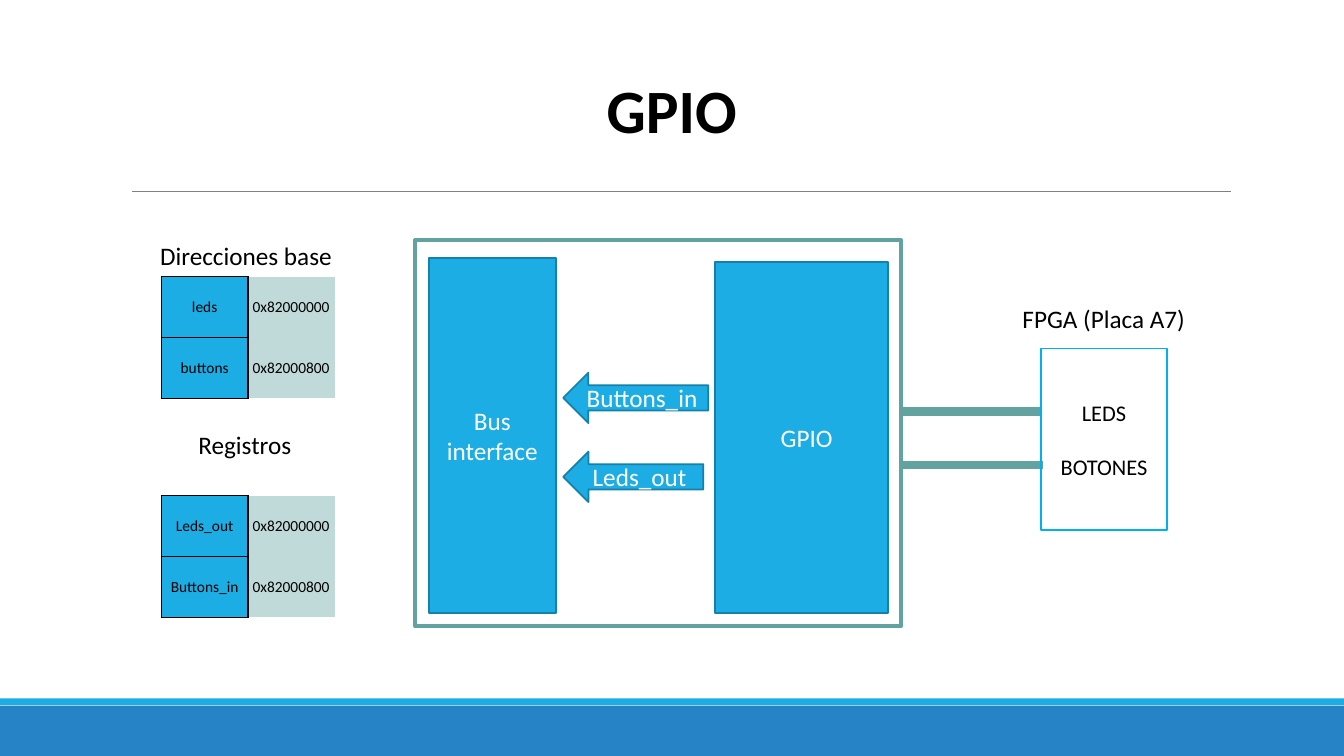
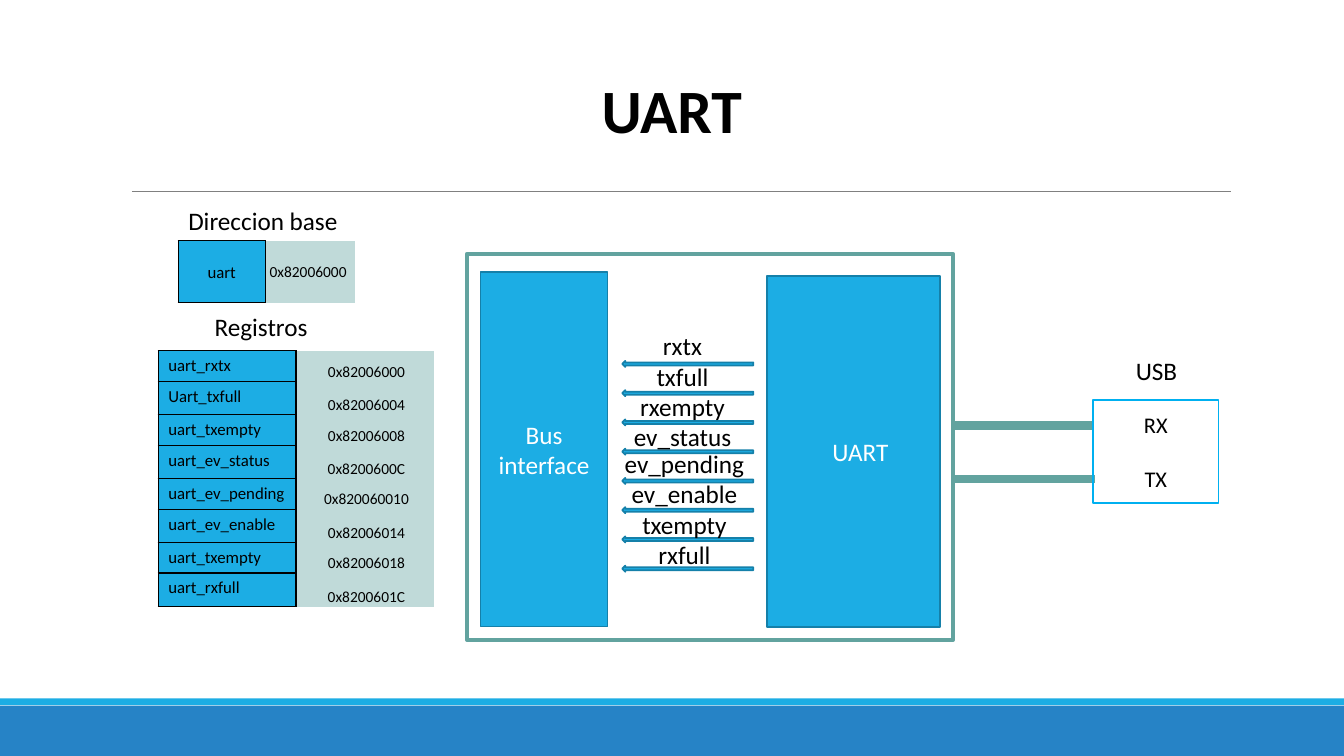
import dataclasses
import typing

import lxml.etree
import pptx
import pptx.dml.color
import pptx.enum.shapes
import pptx.enum.text
import pptx.oxml.ns
import pptx.util

Pt = pptx.util.Pt
Shape = pptx.enum.shapes.MSO_SHAPE
Align = pptx.enum.text.PP_ALIGN
Anchor = pptx.enum.text.MSO_ANCHOR
qn = pptx.oxml.ns.qn

FONT = "Calibri"
BLACK, WHITE, GRAY = "000000", "FFFFFF", "808080"
CYAN, CYAN_EDGE, BLUE, SKY = "1CADE4", "1580A9", "2683C6", "00B0F0"
TEAL, PALE_TEAL = "62A39F", "C0DAD9"
TIGHT = (0.72, 0.72, 0.72, 0)
VALUE_MARGINS = (3.2, 0.72, 0.72, 0)
NORMAL_MARGINS = (7.2, 3.6, 7.2, 3.6)
PAGE_WIDTH, PAGE_HEIGHT = 960, 540


class Box(typing.NamedTuple):
    left: float
    top: float
    width: float
    height: float

    def lengths(self) -> list:
        return [Pt(length) for length in self]


class Entry(typing.NamedTuple):
    name: str
    address: str


@dataclasses.dataclass
class Label:
    text: str
    box: Box
    align: Align = Align.LEFT
    wrap: bool = True


@dataclasses.dataclass
class Module:
    name: str
    left: float
    top: float
    pins: str
    pins_top: float
    pins_height: float


def color(value: str) -> pptx.dml.color.RGBColor:
    return pptx.dml.color.RGBColor.from_string(value)


def write(frame, text: str, *, size: float = 18, ink: str = BLACK, bold: bool = False,
          align: Align = Align.CENTER, anchor: Anchor = Anchor.MIDDLE,
          margins: tuple = NORMAL_MARGINS, gap: float = 0, spacing: float = 1.0,
          wrap: bool = True) -> None:
    frame.word_wrap = wrap
    frame.auto_size = pptx.enum.text.MSO_AUTO_SIZE.NONE
    frame.vertical_anchor = anchor
    frame.margin_left, frame.margin_top, frame.margin_right, frame.margin_bottom = map(Pt, margins)
    for index, line in enumerate(text.split("\n")):
        para = frame.add_paragraph() if index else frame.paragraphs[0]
        para.alignment = align
        para.line_spacing = spacing
        para.space_before = Pt(gap if index else 0)
        span = para.add_run()
        span.text = line
        span.font.name, span.font.size, span.font.bold = FONT, Pt(size), bold
        span.font.color.rgb = color(ink)


def add_block(page, box: Box, *, kind: Shape = Shape.RECTANGLE, fill: str = "",
              edge: str = "", weight: float = 1.25):
    shape = page.shapes.add_shape(kind, *box.lengths())
    shape.shadow.inherit = False
    if fill:
        shape.fill.solid()
        shape.fill.fore_color.rgb = color(fill)
    else:
        shape.fill.background()
    if edge:
        shape.line.color.rgb = color(edge)
        shape.line.width = Pt(weight)
    else:
        shape.line.fill.background()
    return shape


def add_wire(page, left: float, right: float, y: float, ink: str, weight: float):
    wire = page.shapes.add_connector(
        pptx.enum.shapes.MSO_CONNECTOR.STRAIGHT, Pt(left), Pt(y), Pt(right), Pt(y))
    wire.line.color.rgb = color(ink)
    wire.line.width = Pt(weight)
    lxml.etree.SubElement(wire.element.spPr, qn("a:effectLst"))
    return wire


def add_label(page, label: Label) -> None:
    box = page.shapes.add_textbox(*label.box.lengths())
    write(box.text_frame, label.text, align=label.align, anchor=Anchor.TOP, wrap=label.wrap)


def add_arrow(page, box: Box):
    return add_block(page, box, kind=Shape.LEFT_ARROW, fill=CYAN, edge=CYAN_EDGE)


def paint_cell(cell, fill: str, sides: str) -> None:
    properties = cell._tc.get_or_add_tcPr()
    for side in "LRTB":
        border = lxml.etree.SubElement(properties, qn(f"a:ln{side}"), w=str(Pt(1)))
        if side in sides:
            solid = lxml.etree.SubElement(border, qn("a:solidFill"))
            lxml.etree.SubElement(solid, qn("a:srgbClr"), val=BLACK)
        else:
            lxml.etree.SubElement(border, qn("a:noFill"))
    cell.fill.solid()
    cell.fill.fore_color.rgb = color(fill)


def write_cell(cell, text: str, size: float, align: Align, anchor: Anchor, margins: tuple) -> None:
    write(cell.text_frame, text, size=size, align=align)
    cell.vertical_anchor = anchor
    cell.margin_left, cell.margin_top, cell.margin_right, cell.margin_bottom = map(Pt, margins)


def add_grid(page, left: float, top: float, widths: list[float], heights: list[float]):
    box = Box(left, top, sum(widths), sum(heights))
    table = page.shapes.add_table(len(heights), len(widths), *box.lengths()).table
    table.first_row = table.horz_banding = False
    for column, width in zip(table.columns, widths):
        column.width = Pt(width)
    for row, height in zip(table.rows, heights):
        row.height = Pt(height)
        paint_cell(row.cells[0], CYAN, "LRTB")
        paint_cell(row.cells[1], PALE_TEAL, "L")
    return table


def add_base_table(page, left: float, top: float, entries: list[Entry],
                   name_size: float = 11, value_width: float = 62) -> None:
    table = add_grid(page, left, top, [62, value_width], [14.5] * 3 * len(entries))
    for cell in table.iter_cells():
        cell.margin_left, cell.margin_top, cell.margin_right, cell.margin_bottom = map(Pt, TIGHT)
        lxml.etree.SubElement(cell.text_frame.paragraphs[0]._p, qn("a:endParaRPr"), sz="1100")
    for index, entry in enumerate(entries):
        first = 3 * index
        table.cell(first, 0).merge(table.cell(first + 2, 0))
        write_cell(table.cell(first, 0), entry.name, name_size, Align.CENTER, Anchor.MIDDLE, TIGHT)
        write_cell(table.cell(first + 1, 1), entry.address, 11, Align.LEFT, Anchor.BOTTOM,
                   VALUE_MARGINS)


def add_register_table(page, left: float, top: float, entries: list[Entry]) -> None:
    table = add_grid(page, left, top, [98.4, 98.4], [21.6, 24])
    for row, entry in zip(table.rows, entries):
        write_cell(row.cells[0], entry.name, 12, Align.LEFT, Anchor.TOP, NORMAL_MARGINS)
        write_cell(row.cells[1], entry.address, 11, Align.CENTER, Anchor.BOTTOM, VALUE_MARGINS)


def add_module(page, module: Module) -> None:
    left, top = module.left, module.top
    right = left + 347
    pins_left = right + 100
    add_block(page, Box(left, top, 347, 275.8), edge=TEAL, weight=3)
    bus = add_block(page, Box(left + 9.7, top + 12.8, 90.7, 253.4), fill=CYAN, edge=CYAN_EDGE)
    write(bus.text_frame, "Bus interface", ink=WHITE)
    core = add_block(page, Box(left + 214, top + 15.8, 123.8, 250.6), fill=CYAN, edge=CYAN_EDGE)
    write(core.text_frame, module.name, ink=WHITE, align=Align.LEFT, margins=(47, 3.6, 7.2, 3.6))
    add_wire(page, right, pins_left, top + 122.4, TEAL, 6)
    add_wire(page, right, pins_left + 1.5, top + 160.6, TEAL, 6)
    pins = add_block(page, Box(pins_left, module.pins_top, 90, module.pins_height),
                     edge=SKY, weight=1)
    write(pins.text_frame, module.pins, size=16, gap=19.5)


def add_page(deck, title: str):
    page = deck.slides.add_slide(deck.slide_layouts[5])
    heading = page.shapes.title
    heading.left, heading.top, heading.width, heading.height = Box(410.4, 47.5, 139, 67).lengths()
    write(heading.text_frame, title, size=44, bold=True, spacing=0.9)
    return page


def move_frame_to_layout(page) -> None:
    parts = [
        add_block(page, Box(0, 504, PAGE_WIDTH, 36), fill=BLUE),
        add_block(page, Box(0, 498.8, PAGE_WIDTH, 5), fill=CYAN),
        add_wire(page, 94.3, 879, 136.6, GRAY, 0.5),
    ]
    for part in parts:
        page.slide_layout.shapes.element.append(part.element)


def build_gpio(deck) -> None:
    page = add_page(deck, "GPIO")
    move_frame_to_layout(page)
    add_module(page, Module("GPIO", 296.6, 171.5, "LEDS\nBOTONES", 249.1, 129.6))
    add_label(page, Label("Direcciones base", Box(107.3, 167.8, 140.4, 28.8)))
    add_label(page, Label("Registros", Box(134.6, 303.4, 133.2, 28.8)))
    add_label(page, Label("FPGA (Placa A7)", Box(719.3, 213.4, 138.2, 28.8), Align.CENTER))
    add_base_table(page, 115.2, 197.6, [Entry("leds", "0x82000000"),
                                        Entry("buttons", "0x82000800")])
    add_base_table(page, 115.2, 354, [Entry("Leds_out", "0x82000000"),
                                      Entry("Buttons_in", "0x82000800")])
    for name, top, width in (("Leds_out", 322.6, 100.1), ("Buttons_in", 266.2, 103.7)):
        arrow = add_arrow(page, Box(402.3, top, width, 36))
        write(arrow.text_frame, name, ink=WHITE, margins=(0, 0, 0, 0))


def build_uart(deck) -> None:
    page = add_page(deck, "UART")
    add_module(page, Module("UART", 333.6, 181.4, "RX\nTX", 285.8, 73.4))
    add_label(page, Label("Direccion base", Box(127.4, 142.9, 140.4, 28.8)))
    add_label(page, Label("Registros", Box(146.2, 218.5, 133.2, 28.8)))
    add_label(page, Label("USB", Box(804.2, 250.6, 133.2, 28.8)))
    add_base_table(page, 127.4, 172, [Entry("uart", "0x82006000")], 12, 64)
    registers = [
        Entry("uart_rxtx", "0x82006000"),
        Entry("Uart_txfull", "0x82006004"),
        Entry("uart_txempty", "0x82006008"),
        Entry("uart_ev_status", "0x8200600C"),
        Entry("uart_ev_pending", "0x820060010"),
        Entry("uart_ev_enable", "0x82006014"),
        Entry("uart_txempty", "0x82006018"),
        Entry("uart_rxfull", "0x8200601C"),
    ]
    for index in range(0, len(registers), 2):
        add_register_table(page, 113, 250.6 + 22.8 * index, registers[index:index + 2])
    for index in range(len(registers)):
        add_arrow(page, Box(444.5, 257.8 + 20.9 * index, 93.6, 4.3))
    add_label(page, Label("rxtx\ntxfull\nrxempty\nev_status",
                          Box(445, 232.6, 85, 94.3), Align.CENTER, False))
    add_label(page, Label("ev_pending\nev_enable\ntxempty\nrxfull",
                          Box(438.5, 316.8, 100.8, 94.3), Align.CENTER, False))


def main() -> None:
    deck = pptx.Presentation()
    deck.slide_width, deck.slide_height = Pt(PAGE_WIDTH), Pt(PAGE_HEIGHT)
    build_gpio(deck)
    build_uart(deck)
    deck.save("out.pptx")


if __name__ == "__main__":
    main()
